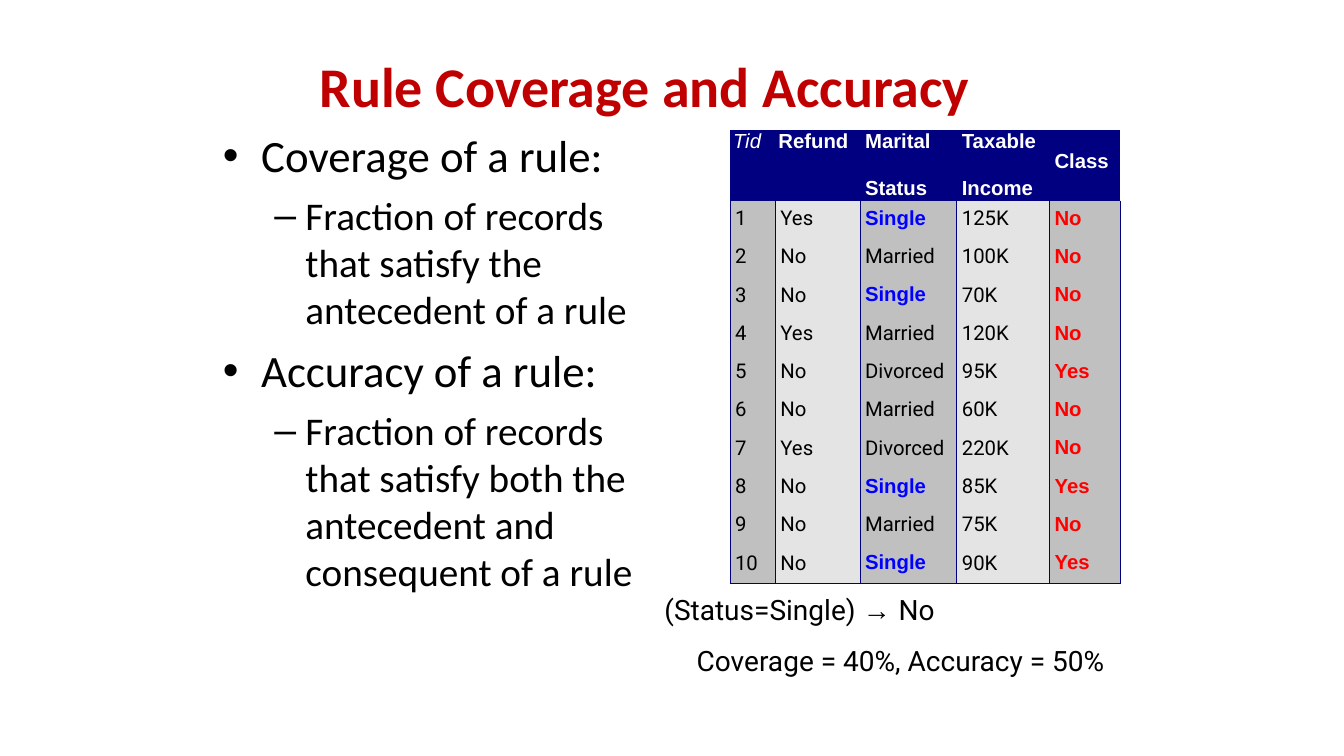
from dataclasses import dataclass

from lxml.etree import SubElement
from pptx import Presentation
from pptx.dml.color import RGBColor as RGB
from pptx.oxml.ns import qn
from pptx.util import Inches, Pt


@dataclass(frozen=True)
class Theme:
    title: str = "C00000"
    ink: str = "000000"
    navy: str = "000080"
    white: str = "FFFFFF"
    dark: str = "C0C0C0"
    light: str = "E4E4E4"
    blue: str = "0000FF"
    red: str = "FF0000"
    main: str = "Calibri"
    head: str = "Arial"
    data: str = "Roboto"
    big: float = 40
    bullet: float = 32
    dash: float = 28
    note: float = 20
    cell: float = 14.5


THEME = Theme()
PLAIN = "{2D5ABB26-0587-4C30-8999-92F81FD0307C}"
HEADS = ["Tid", "Refund", "Marital\nStatus", "Taxable\nIncome", "Class"]
ROWS = [
    ["1", "Yes", "Single", "125K", "No"],
    ["2", "No", "Married", "100K", "No"],
    ["3", "No", "Single", "70K", "No"],
    ["4", "Yes", "Married", "120K", "No"],
    ["5", "No", "Divorced", "95K", "Yes"],
    ["6", "No", "Married", "60K", "No"],
    ["7", "Yes", "Divorced", "220K", "No"],
    ["8", "No", "Single", "85K", "Yes"],
    ["9", "No", "Married", "75K", "No"],
    ["10", "No", "Single", "90K", "Yes"],
]
POINTS = [
    (0, "Coverage of a rule:"),
    (1, "Fraction of records that satisfy the antecedent of a rule"),
    (0, "Accuracy of a rule:"),
    (1, "Fraction of records that satisfy both the antecedent and consequent of a rule"),
]


def write(para, text, font=THEME.data, size=THEME.note, color=THEME.ink,
          bold=False, italic=False):
    run = para.add_run()
    run.text = text
    face = run.font
    face.name, face.size = font, Pt(size)
    face.bold, face.italic = bold, italic
    face.color.rgb = RGB.from_string(color)


def add_frame(slide, box, top):
    """Add a wrapping text box whose only inset is at the top."""
    frame = slide.shapes.add_textbox(*map(Inches, box)).text_frame
    frame.word_wrap = True
    frame.margin_left = frame.margin_right = frame.margin_bottom = 0
    frame.margin_top = Inches(top)
    return frame


def next_para(frame, first, gap):
    if first:
        return frame.paragraphs[0]
    para = frame.add_paragraph()
    para.space_before = Pt(gap)
    return para


def indent(para, left, hang=0, mark=None):
    props = para._p.get_or_add_pPr()
    props.set("marL", str(Inches(left)))
    props.set("indent", str(Inches(-hang)))
    if mark:
        SubElement(props, qn("a:buFont"), typeface="Arial")
        SubElement(props, qn("a:buChar"), char=mark)


def add_title(slide, box):
    frame = add_frame(slide, box, 0.01)
    write(frame.paragraphs[0], "Rule Coverage and Accuracy", font=THEME.main,
          size=THEME.big, color=THEME.title, bold=True)


def add_points(slide, box):
    frame = add_frame(slide, box, 0.12)
    styles = [(0.39, 0.38, "•", THEME.bullet, 7.5), (0.83, 0.31, "–", THEME.dash, 6.9)]
    for i, (level, text) in enumerate(POINTS):
        left, hang, mark, size, gap = styles[level]
        para = next_para(frame, i == 0, gap)
        para.level = level
        indent(para, left, hang, mark)
        write(para, text, font=THEME.main, size=size)


def add_line(cell, side):
    line = SubElement(cell._tc.get_or_add_tcPr(), qn(f"a:ln{side}"), w=str(Pt(0.75)))
    fill = SubElement(line, qn("a:solidFill"))
    SubElement(fill, qn("a:srgbClr"), val=THEME.navy)


def set_cell(cell, fill, left, top):
    cell.margin_left, cell.margin_top = Inches(left), Inches(top)
    cell.margin_right = cell.margin_bottom = 0
    cell.fill.solid()
    cell.fill.fore_color.rgb = RGB.from_string(fill)


def fill_head(cell, col, text):
    set_cell(cell, THEME.navy, 0.03 if col < 2 else 0.05, 0.19 if col == 4 else 0)
    for i, word in enumerate(text.split("\n")):
        para = next_para(cell.text_frame, i == 0, 16.6)
        para.line_spacing = Pt(16.6)
        write(para, word, font=THEME.head, size=THEME.cell, color=THEME.white,
              bold=col > 0, italic=col == 0)


def fill_body(cell, col, text, last):
    for side in "LRB" if last else "LR":
        add_line(cell, side)
    set_cell(cell, THEME.light if col % 2 else THEME.dark, 0.05, 0.06)
    color = THEME.red if col == 4 else THEME.blue if text == "Single" else THEME.ink
    strong = color != THEME.ink
    write(cell.text_frame.paragraphs[0], text, size=THEME.cell, color=color,
          font=THEME.head if strong else THEME.data, bold=strong)


def add_records(slide, box):
    shape = slide.shapes.add_table(len(ROWS) + 1, len(HEADS), *map(Inches, box))
    table = shape.table
    table.first_row = table.horz_banding = False
    table._tbl.tblPr.find(qn("a:tableStyleId")).text = PLAIN
    for col, width in zip(table.columns, [0.45, 0.84, 0.96, 0.92, 0.7]):
        col.width = Inches(width)
    for i, row in enumerate(table.rows):
        row.height = Inches(0.38 if i else 0.7)
    for c, text in enumerate(HEADS):
        fill_head(table.cell(0, c), c, text)
    for r, row in enumerate(ROWS, 1):
        for c, text in enumerate(row):
            fill_body(table.cell(r, c), c, text, r == len(ROWS))


def add_result(slide, box):
    frame = add_frame(slide, box, 0.18)
    rule = frame.paragraphs[0]
    write(rule, "(Status=Single) ")
    write(rule, "→ ", font=THEME.head)
    write(rule, "No")
    score = next_para(frame, False, 12)
    indent(score, 0.32)
    write(score, "Coverage = 40%, Accuracy = 50%")


def main():
    deck = Presentation()
    deck.slide_width, deck.slide_height = Inches(13.33), Inches(7.5)
    slide = deck.slides.add_slide(deck.slide_layouts[6])
    add_title(slide, (3.17, 0.5, 7, 0.69))
    add_points(slide, (2.2, 1.15, 4.09, 4.77))
    add_records(slide, (7.24, 1.29, 3.87, 4.5))
    add_result(slide, (6.59, 5.7, 4.63, 1.03))
    deck.save("out.pptx")


if __name__ == "__main__":
    main()
